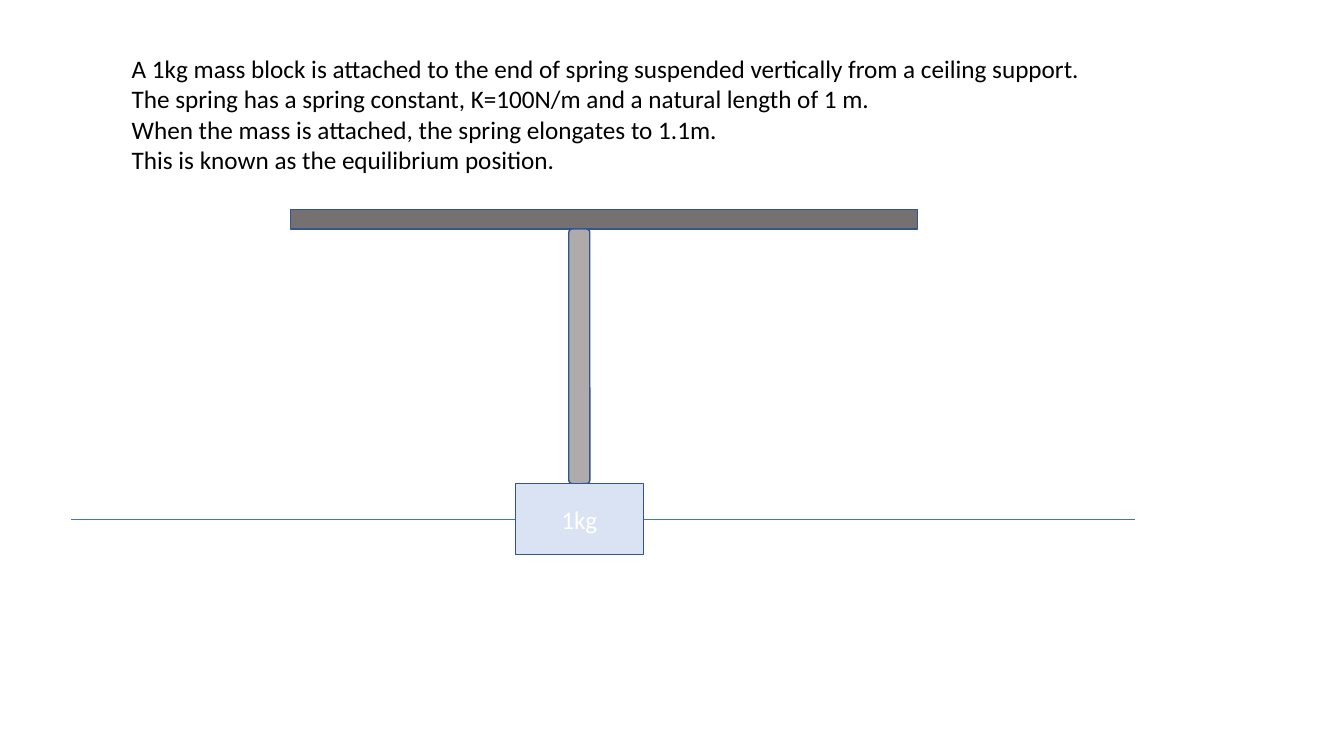
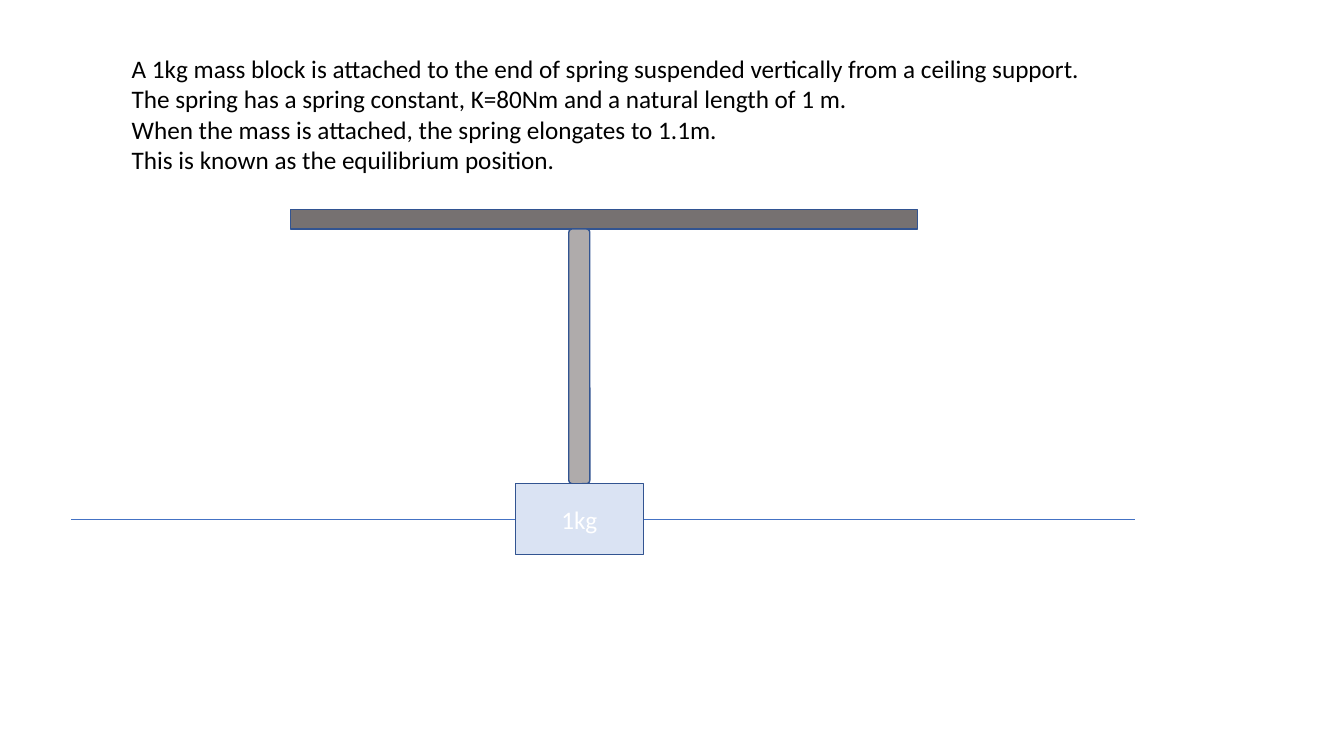
from dataclasses import dataclass

from lxml.etree import SubElement
from pptx import Presentation
from pptx.dml.color import RGBColor
from pptx.enum.shapes import MSO_CONNECTOR, MSO_SHAPE
from pptx.enum.text import MSO_ANCHOR, PP_ALIGN
from pptx.oxml.ns import qn
from pptx.util import Cm, Pt

SPRING_CONSTANTS = ["100N/m", "80Nm"]
PROBLEM = [
    "A 1kg mass block is attached to the end of spring suspended vertically from a ceiling support.",
    "The spring has a spring constant, K={constant} and a natural length of 1 m.",
    "When the mass is attached, the spring elongates to 1.1m.",
    "This is known as the equilibrium position.",
]
MASS = "1kg"


@dataclass(frozen=True)
class Theme:
    font: str = "Calibri"
    size: Pt = Pt(18)
    text: RGBColor = RGBColor.from_string("000000")
    label: RGBColor = RGBColor.from_string("FFFFFF")
    ceiling: RGBColor = RGBColor.from_string("767171")
    spring: RGBColor = RGBColor.from_string("AFABAB")
    block: RGBColor = RGBColor.from_string("DAE3F3")
    outline: RGBColor = RGBColor.from_string("325491")
    level: RGBColor = RGBColor.from_string("4472C4")
    outline_width: Pt = Pt(1)
    level_width: Pt = Pt(0.5)


THEME = Theme()

AXIS = Cm(14.6)
CEILING_LEFT, CEILING_TOP = Cm(7.32), Cm(5.28)
CEILING_W, CEILING_H = Cm(15.8), Cm(0.49)
SPRING_W, SPRING_H = Cm(0.53), Cm(6.42)
BLOCK_W, BLOCK_H = Cm(3.23), Cm(1.78)
LEVEL_LEFT, LEVEL_RIGHT = Cm(1.8), Cm(28.6)
SPRING_TOP = CEILING_TOP + CEILING_H
BLOCK_TOP = SPRING_TOP + SPRING_H
LEVEL_Y = BLOCK_TOP + BLOCK_H // 2


def add_run(p, text, color):
    r = p.add_run()
    r.text = text
    r.font.name = THEME.font
    r.font.size = THEME.size
    r.font.color.rgb = color


def add_problem(s, constant):
    tf = s.shapes.add_textbox(Cm(3.07), Cm(1.22), Cm(26.85), Cm(5.64)).text_frame
    tf.word_wrap = True
    for i, line in enumerate(PROBLEM):
        p = tf.add_paragraph() if i else tf.paragraphs[0]
        add_run(p, line.format(constant=constant), THEME.text)


def add_level(s):
    line = s.shapes.add_connector(
        MSO_CONNECTOR.STRAIGHT, LEVEL_LEFT, LEVEL_Y, LEVEL_RIGHT, LEVEL_Y)
    line.line.color.rgb = THEME.level
    line.line.width = THEME.level_width
    SubElement(line._element.spPr, qn("a:effectLst"))


def add_part(s, kind, left, top, width, height, fill):
    sp = s.shapes.add_shape(kind, left, top, width, height)
    sp.shadow.inherit = False
    sp.fill.solid()
    sp.fill.fore_color.rgb = fill
    sp.line.color.rgb = THEME.outline
    sp.line.width = THEME.outline_width
    return sp


def add_diagram(s):
    add_level(s)
    add_part(s, MSO_SHAPE.RECTANGLE, CEILING_LEFT, CEILING_TOP,
             CEILING_W, CEILING_H, THEME.ceiling)
    add_part(s, MSO_SHAPE.ROUNDED_RECTANGLE, AXIS - SPRING_W // 2, SPRING_TOP,
             SPRING_W, SPRING_H, THEME.spring)
    block = add_part(s, MSO_SHAPE.RECTANGLE, AXIS - BLOCK_W // 2, BLOCK_TOP,
                     BLOCK_W, BLOCK_H, THEME.block)
    tf = block.text_frame
    tf.vertical_anchor = MSO_ANCHOR.MIDDLE
    p = tf.paragraphs[0]
    p.alignment = PP_ALIGN.CENTER
    add_run(p, MASS, THEME.label)


def main():
    prs = Presentation()
    prs.slide_width, prs.slide_height = Cm(33.87), Cm(19.05)
    for constant in SPRING_CONSTANTS:
        s = prs.slides.add_slide(prs.slide_layouts[6])
        add_diagram(s)
        add_problem(s, constant)
    prs.save("out.pptx")


if __name__ == "__main__":
    main()
